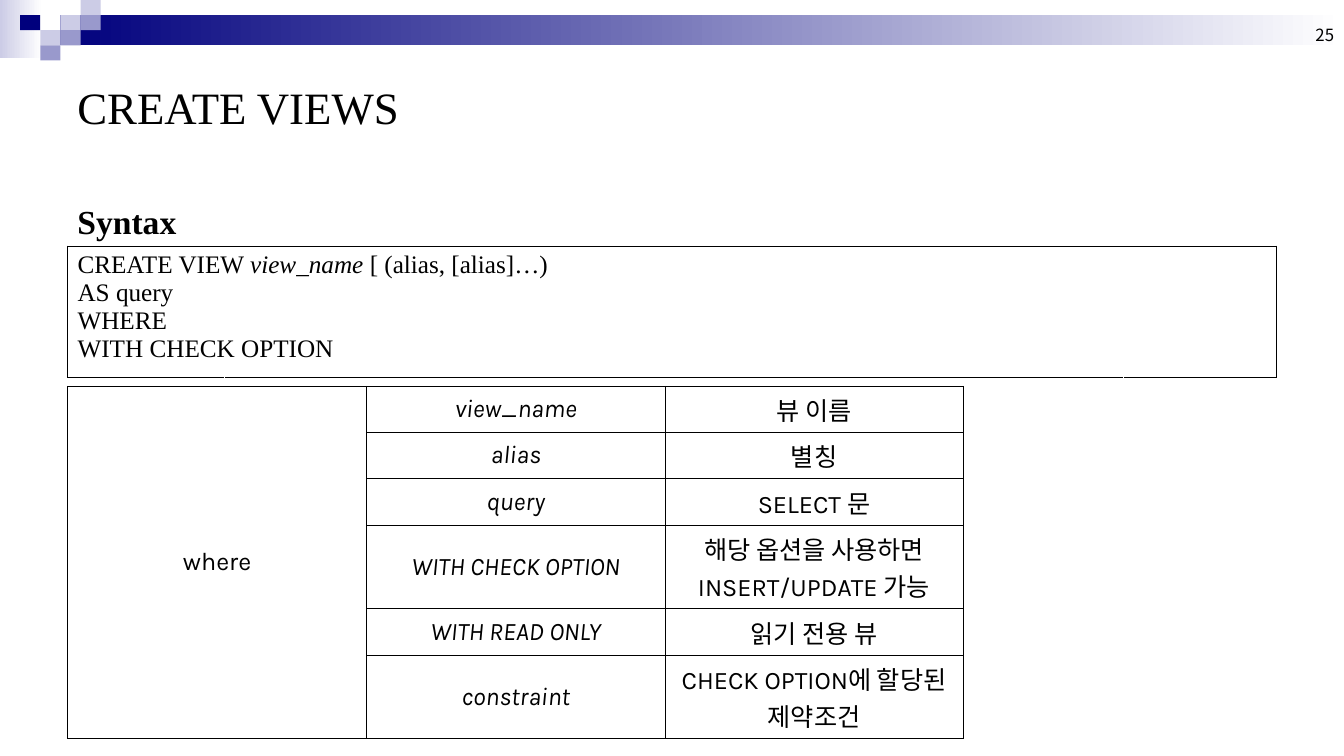
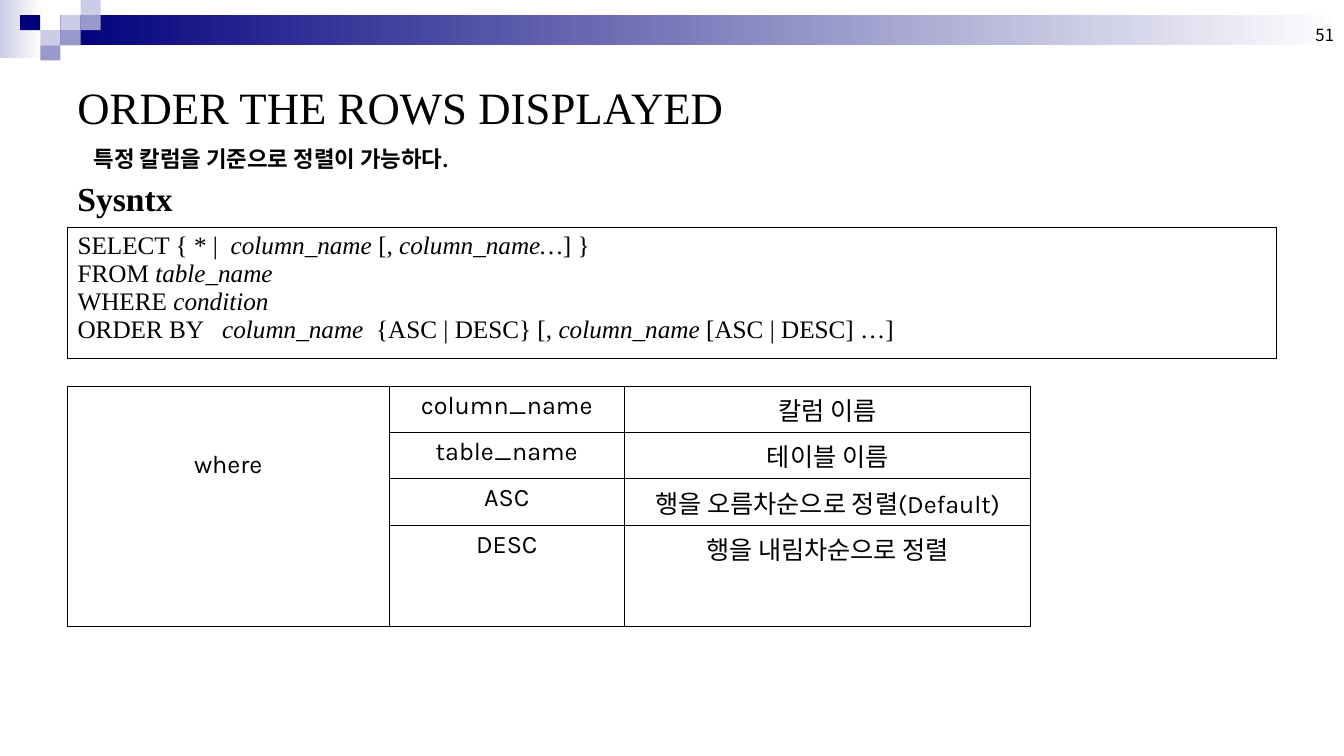
from lxml import etree
from pptx import Presentation
from pptx import util as u
from pptx.dml.color import RGBColor
from pptx.enum import shapes, text
from pptx.oxml import ns

Inches, Pt = u.Inches, u.Pt
COLORS = {"navy": "00007D", "violet": "9999CC", "lilac": "CCCCE6", "white": "FFFFFF", "black": "000000"}
SERIF, SANS, KOREAN = "Times New Roman", "Karla", "Noto Sans CJK KR"
LEFT, TABLE_TOP = 0.67, 3.83
CENTER, RIGHT = text.PP_ALIGN.CENTER, text.PP_ALIGN.RIGHT
TOP, MIDDLE, BOTTOM = text.MSO_ANCHOR.TOP, text.MSO_ANCHOR.MIDDLE, text.MSO_ANCHOR.BOTTOM

BANDS = [
    (0, 0, 0.42, 0.58, "lilac"),
    (0.6, 0.15, 12.73, 0.3, "navy"),
]
TILE_WIDTH, TILE_HEIGHT = 0.2, 0.15
TILES = [
    (3, 1, "lilac"), (4, 0, "lilac"), (4, 1, "violet"), (2, 2, "lilac"),
    (1, 1, "navy"), (3, 2, "violet"), (2, 3, "violet"),
]

SLIDES = [
    {
        "number": "25",
        "title": "CREATE VIEWS",
        "heading": ("Syntax", 1.94),
        "syntax_top": 2.44,
        "spacer_tops": (2.41, 3.65),
        "syntax": [
            [("CREATE VIEW ", False), ("view_name ", True), ("[ (alias, [alias]…)", False)],
            [("AS query", False)],
            [("WHERE", False)],
            [("WITH CHECK OPTION", False)],
        ],
        "columns": [2.97, 2.96, 2.96],
        "heights": [0.46, 0.46, 0.46, 0.83, 0.46, 0.83],
        "terms": [
            ("view_name", "뷰 이름"),
            ("alias", "별칭"),
            ("query", "SELECT 문"),
            ("WITH CHECK OPTION", "해당 옵션을 사용하면 INSERT/UPDATE 가능"),
            ("WITH READ ONLY", "읽기 전용 뷰"),
            ("constraint", "CHECK OPTION에 할당된 제약조건"),
        ],
        "italic_terms": True,
        "anchor": MIDDLE,
        "where_margin": 0.05,
    },
    {
        "number": "51",
        "title": "ORDER THE ROWS DISPLAYED",
        "note": "특정 칼럼을 기준으로 정렬이 가능하다.",
        "heading": ("Sysntx", 1.72),
        "syntax_top": 2.25,
        "spacer_tops": (),
        "syntax": [
            [("SELECT { * |  ", False), ("column_name ", True), ("[", False),
             (", column_name…", True), ("] }", False)],
            [("FROM ", False), ("table_name", True)],
            [("WHERE ", False), ("condition", True)],
            [("ORDER BY   ", False), ("column_name  ", True), ("{ASC | DESC} [,", False),
             (" column_name ", True), ("[ASC | DESC] …]", False)],
        ],
        "columns": [3.19, 2.34, 4.03],
        "heights": [0.46, 0.46, 0.46, 1],
        "terms": [
            ("column_name", "칼럼 이름"),
            ("table_name", "테이블 이름"),
            ("ASC", "행을 오름차순으로 정렬(Default)"),
            ("DESC", "행을 내림차순으로 정렬"),
        ],
        "italic_terms": False,
        "anchor": TOP,
        "where_margin": 0.64,
    },
]


def color(name):
    return RGBColor.from_string(COLORS[name])


def write(frame, content, size=18, font=SERIF, bold=False, italic=False, align=None):
    lines = [[(content, italic)]] if isinstance(content, str) else content
    for index, line in enumerate(lines):
        paragraph = frame.add_paragraph() if index else frame.paragraphs[0]
        paragraph.alignment = align
        for words, slanted in line:
            run = paragraph.add_run()
            run.text = words
            run.font.size = Pt(size)
            run.font.name = font
            run.font.bold = bold
            run.font.italic = slanted
            run.font.color.rgb = color("black")


def add_text(slide, content, left, top, width, height, anchor=TOP, **style):
    box = slide.shapes.add_textbox(Inches(left), Inches(top), Inches(width), Inches(height))
    box.text_frame.word_wrap = True
    box.text_frame.vertical_anchor = anchor
    write(box.text_frame, content, **style)


def add_block(slide, left, top, width, height, name, fading=False):
    block = slide.shapes.add_shape(
        shapes.MSO_SHAPE.RECTANGLE, Inches(left), Inches(top), Inches(width), Inches(height))
    block.shadow.inherit = False
    block.line.fill.background()
    if fading:
        block.fill.gradient()
        block.fill.gradient_angle = 0
        for stop, (position, shade) in zip(block.fill.gradient_stops, [(0, name), (1, "white")]):
            stop.position = position
            stop.color.rgb = color(shade)
    else:
        block.fill.solid()
        block.fill.fore_color.rgb = color(name)


def outline(cell, name, bottom):
    properties = cell._tc.get_or_add_tcPr()
    for side, width in (("lnL", 0.45), ("lnR", 0.45), ("lnT", 0.45), ("lnB", bottom)):
        line = etree.SubElement(properties, ns.qn(f"a:{side}"), w=str(Pt(width)))
        fill = etree.SubElement(line, ns.qn("a:solidFill"))
        etree.SubElement(fill, ns.qn("a:srgbClr"), val=COLORS[name])
    cell.fill.background()


def add_grid(slide, top, columns, heights, left=LEFT, border="black", bottom=0.45):
    frame = slide.shapes.add_table(
        len(heights), len(columns), Inches(left), Inches(top),
        Inches(sum(columns)), Inches(sum(heights)))
    table = frame.table
    table.first_row = table.horz_banding = False
    for column, width in zip(table.columns, columns):
        column.width = Inches(width)
    for row, height in zip(table.rows, heights):
        row.height = Inches(height)
    for cell in table.iter_cells():
        outline(cell, border, bottom)
    return table


def add_spacers(slide, tops):
    for top in tops:
        add_grid(slide, top, [8.92], [0.4], left=2.23, border="white", bottom=1.47)


def add_syntax(slide, data):
    table = add_grid(slide, data["syntax_top"], [12], [1.3])
    write(table.cell(0, 0).text_frame, data["syntax"])


def add_terms(slide, data):
    table = add_grid(slide, TABLE_TOP, data["columns"], data["heights"])
    where = table.cell(0, 0)
    where.merge(table.cell(len(data["terms"]) - 1, 0))
    where.vertical_anchor = data["anchor"]
    where.margin_top = Inches(data["where_margin"])
    write(where.text_frame, "where", font=SANS, align=CENTER)
    for row, pair in enumerate(data["terms"]):
        for column, words in enumerate(pair, 1):
            cell = table.cell(row, column)
            cell.vertical_anchor = data["anchor"]
            write(cell.text_frame, words, font=SANS, align=CENTER,
                  italic=data["italic_terms"] and column == 1)


def add_frame(slide, data):
    for band in BANDS:
        add_block(slide, *band, fading=True)
    for column, row, name in TILES:
        add_block(slide, column * TILE_WIDTH, row * TILE_HEIGHT, TILE_WIDTH, TILE_HEIGHT, name)
    add_text(slide, data["number"], 10.22, 0, 3.12, 0.49, anchor=BOTTOM,
             size=12, font=KOREAN, align=RIGHT)
    add_text(slide, data["title"], LEFT, 0.5, 12, 1.12, anchor=MIDDLE, size=32)


def main():
    presentation = Presentation()
    presentation.slide_width, presentation.slide_height = Inches(13.34), Inches(7.5)
    for data in SLIDES:
        slide = presentation.slides.add_slide(presentation.slide_layouts[6])
        add_frame(slide, data)
        heading, heading_top = data["heading"]
        add_text(slide, heading, LEFT, heading_top, 8.92, 0.55, size=24, bold=True)
        if "note" in data:
            add_text(slide, data["note"], 0.83, 1.39, 10.25, 0.44, size=16, bold=True)
        add_spacers(slide, data["spacer_tops"][:1])
        add_syntax(slide, data)
        add_spacers(slide, data["spacer_tops"][1:])
        add_terms(slide, data)
    presentation.save("out.pptx")


if __name__ == "__main__":
    main()
